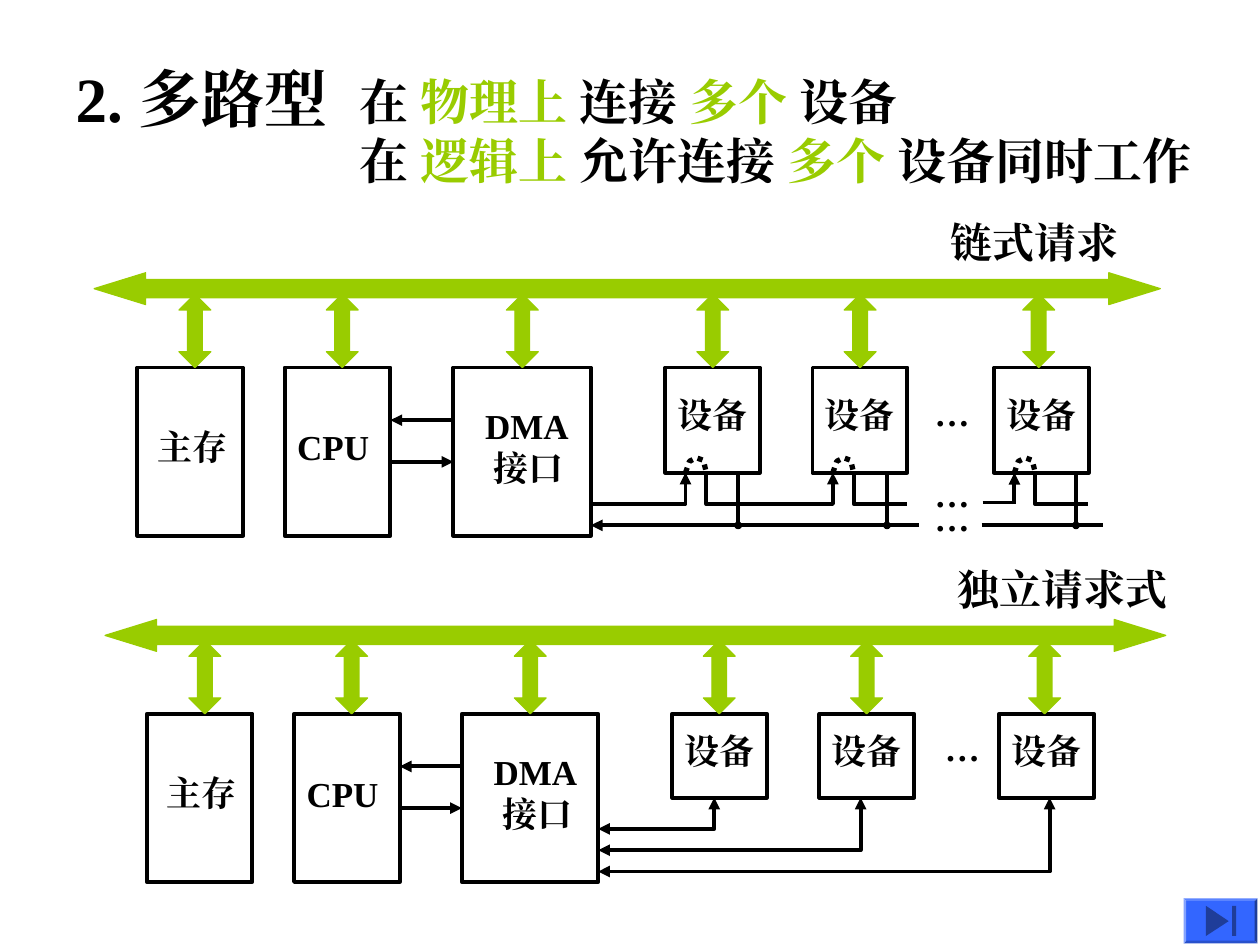
"""Build the slide on multiplexed DMA interfaces."""
from dataclasses import dataclass

from lxml.etree import SubElement
from pptx import Presentation
from pptx.dml.color import RGBColor
from pptx.enum.dml import MSO_LINE
from pptx.enum.lang import MSO_LANGUAGE_ID
from pptx.enum.shapes import MSO_CONNECTOR, MSO_SHAPE
from pptx.enum.text import MSO_ANCHOR, MSO_AUTO_SIZE, PP_ALIGN
from pptx.oxml.ns import qn
from pptx.util import Cm, Pt

BLACK, GREEN, BLUE, NAVY = "000000", "99CC00", "3366FF", "1F3D99"
FONT = "Times New Roman"
Point = tuple[float, float]


@dataclass
class Box:
    left: float
    top: float
    width: float
    height: float

    def lengths(self) -> list[Cm]:
        return [Cm(value) for value in (self.left, self.top, self.width, self.height)]


@dataclass
class Unit:
    text: str
    left: float
    width: float
    text_left: float
    text_top: float
    text_width: float
    text_height: float = 1.12


@dataclass
class Diagram:
    heading: str
    heading_box: Box
    bus: Box
    bus_arrows: list[float]
    top: float
    memory: float
    processor: float
    interface: float
    interface_width: float
    devices: list[float]
    device_height: float
    device_text_top: float
    ellipsis: Point

    def interface_right(self) -> float:
        return self.interface + self.interface_width


CHAINED = Diagram(
    "链式请求", Box(18.92, 4.24, 4.47, 1.27), Box(1.9, 5.5, 21.49, 0.64),
    [3.61, 6.58, 10.21, 14.05, 17.02, 20.62], 7.41, 2.77, 5.74, 9.14, 2.77,
    [13.41, 16.38, 20.04], 2.12, 0.39, (18.59, 7.77))
INDEPENDENT = Diagram(
    "独立请求式", Box(19.05, 11.23, 6.35, 1.27), Box(2.12, 12.49, 21.38, 0.64),
    [3.81, 6.77, 10.37, 14.18, 17.15, 20.74], 14.39, 2.96, 5.93, 9.31, 2.75,
    [13.55, 16.52, 20.14], 1.69, 0.19, (18.8, 14.53))


def color(value: str) -> RGBColor:
    return RGBColor.from_string(value)


def add_run(paragraph, text: str, size: float, value: str = BLACK) -> None:
    run = paragraph.add_run()
    run.text = text
    run.font.size, run.font.bold = Pt(size), True
    run.font.language_id = MSO_LANGUAGE_ID.SIMPLIFIED_CHINESE
    run.font.color.rgb = color(value)
    run.font.name = FONT
    SubElement(run._r.get_or_add_rPr(), qn("a:ea")).set("typeface", FONT)


def add_label(slide, box: Box, text: str, size: float = 20) -> None:
    frame = slide.shapes.add_textbox(*box.lengths()).text_frame
    frame.word_wrap, frame.margin_right = True, Cm(0)
    for index, line in enumerate(text.split("\n")):
        paragraph = frame.add_paragraph() if index else frame.paragraphs[0]
        add_run(paragraph, line, size)


def fill_shape(shape, value: str, outlined: bool = False) -> None:
    shape.shadow.inherit = False
    shape.fill.solid()
    shape.fill.fore_color.rgb = color(value)
    if outlined:
        shape.line.color.rgb, shape.line.width = color(value), Pt(0.75)
    else:
        shape.line.fill.background()


def style_line(shape, head: str = "", tail: str = "", width: float = 2.25, dash=None) -> None:
    shape.line.color.rgb, shape.line.width = color(BLACK), Pt(width)
    if dash:
        shape.line.dash_style = dash
    for tag, kind in (("a:headEnd", head), ("a:tailEnd", tail)):
        if kind:
            end = SubElement(shape.line._get_or_add_ln(), qn(tag))
            size = "sm" if kind == "oval" else "med"
            for name, setting in (("type", kind), ("w", size), ("len", size)):
                end.set(name, setting)


def add_line(slide, start: Point, end: Point, tail: str = "") -> None:
    ends = [Cm(value) for value in (*start, *end)]
    connector = slide.shapes.add_connector(MSO_CONNECTOR.STRAIGHT, *ends)
    SubElement(connector._element.spPr, qn("a:effectLst"))
    style_line(connector, tail=tail)


def add_outline(slide, points: list[Point], close: bool = False):
    corners = [(Cm(x), Cm(y)) for x, y in points]
    builder = slide.shapes.build_freeform(*corners[0])
    builder.add_line_segments(corners[1:], close=close)
    return builder.convert_to_shape()


def add_path(slide, points: list[Point], **style) -> None:
    path = add_outline(slide, points)
    path.shadow.inherit = False
    path.fill.background()
    style_line(path, **style)


def add_arrow(slide, kind, box: Box, adjustments: Point) -> None:
    arrow = slide.shapes.add_shape(kind, *box.lengths())
    fill_shape(arrow, GREEN, outlined=True)
    for index, value in enumerate(adjustments):
        arrow.adjustments[index] = value


def add_unit(slide, unit: Unit, top: float, height: float) -> None:
    add_label(slide, Box(unit.left + unit.text_left, top + unit.text_top,
                         unit.text_width, unit.text_height), unit.text)
    frame = slide.shapes.add_shape(
        MSO_SHAPE.RECTANGLE, *Box(unit.left, top, unit.width, height).lengths())
    frame.shadow.inherit = False
    frame.fill.background()
    style_line(frame)


def add_diagram(slide, diagram: Diagram) -> None:
    top, right = diagram.top, diagram.processor + 2.13
    for left in diagram.devices:
        add_unit(slide, Unit("设备", left, 1.91, 0, diagram.device_text_top, 1.91),
                 top, diagram.device_height)
    for unit in (Unit("DMA\n 接口", diagram.interface, diagram.interface_width, 0.39, 0.62, 2.18, 1.96),
                 Unit("CPU", diagram.processor, 2.13, 0, 1.05, 1.96),
                 Unit("主存", diagram.memory, 2.13, 0.15, 1.04, 1.91)):
        add_unit(slide, unit, top, 3.39)
    add_arrow(slide, MSO_SHAPE.LEFT_RIGHT_ARROW, diagram.bus, (0.58, 1.62))
    for left in diagram.bus_arrows:
        add_arrow(slide, MSO_SHAPE.UP_DOWN_ARROW, Box(left, top - 1.48, 0.64, 1.48), (0.5, 0.46))
    add_label(slide, Box(*diagram.ellipsis, 1.22, 1.12), "…")
    add_line(slide, (right, top + 1.9), (diagram.interface, top + 1.9), "triangle")
    add_line(slide, (diagram.interface, top + 1.06), (right, top + 1.06), "triangle")
    add_label(slide, diagram.heading_box, diagram.heading, 24)


def add_chain_wiring(slide, diagram: Diagram) -> None:
    bottom, grant, request = diagram.top + diagram.device_height, 10.16, 10.59
    start = diagram.interface_right()
    entries = [left + 0.41 for left in diagram.devices]
    exits = [entry + 0.42 for entry in entries]
    add_path(slide, [(start, grant), (entries[0], grant), (entries[0], bottom)], tail="triangle")
    add_path(slide, [(exits[0], bottom), (exits[0], grant), (entries[1], grant),
                     (entries[1], bottom)], tail="triangle")
    for x in exits[1:]:
        add_path(slide, [(x, bottom), (x, grant), (x + 1.07, grant)])
    add_line(slide, (entries[2], grant), (entries[2], bottom), "triangle")
    add_line(slide, (19.81, 10.13), (20.4, 10.13))
    add_line(slide, (18.52, request), (start, request), "triangle")
    add_line(slide, (19.79, request), (22.23, request))
    for x in (14.88, 17.88, 21.69):
        add_line(slide, (x, bottom), (x, request), "oval")
    arc = [(0, 0), (0.08, -0.23), (0.22, -0.3), (0.36, -0.25), (0.42, 0)]
    for entry in entries:
        add_path(slide, [(entry + x, bottom + y) for x, y in arc], width=3, dash=MSO_LINE.ROUND_DOT)
    for y in (9.88, 9.4):
        add_label(slide, Box(18.59, y, 3.81, 1.12), "…")


def add_independent_wiring(slide, diagram: Diagram) -> None:
    start, bottom = diagram.interface_right(), diagram.top + diagram.device_height
    for index, x in enumerate((14.4, 17.35, 21.16)):
        y = 16.71 + 0.43 * index
        add_path(slide, [(start, y), (x, y), (x, bottom)], head="triangle", tail="triangle")


def add_button(slide) -> None:
    button = slide.shapes.add_shape(MSO_SHAPE.BEVEL, *Box(23.86, 18.11, 1.49, 0.91).lengths())
    button.adjustments[0] = 0.06
    fill_shape(button, BLUE)
    fill_shape(add_outline(slide, [(24.77, 18.57), (24.31, 18.87), (24.31, 18.26)], True), NAVY)
    bar = slide.shapes.add_shape(MSO_SHAPE.RECTANGLE, *Box(24.84, 18.26, 0.08, 0.61).lengths())
    fill_shape(bar, NAVY)


def prepare(placeholder, box: Box):
    placeholder.left, placeholder.top, placeholder.width, placeholder.height = box.lengths()
    frame = placeholder.text_frame
    frame.auto_size, frame.vertical_anchor = MSO_AUTO_SIZE.NONE, MSO_ANCHOR.TOP
    frame.word_wrap = True
    return frame


def add_headings(slide) -> None:
    title = prepare(slide.shapes.title, Box(1.27, 1.07, 5.6, 3.3)).paragraphs[0]
    title.alignment = PP_ALIGN.LEFT
    add_run(title, "2. 多路型", 36)
    body = prepare(slide.placeholders[1], Box(6.99, 1.32, 18.41, 2.64))
    lines = [["在 ", "物理上 ", "连接 ", "多个 ", "设备"],
             ["在 ", "逻辑上 ", "允许连接 ", "多个 ", "设备同时工作"]]
    for index, texts in enumerate(lines):
        paragraph = body.add_paragraph() if index else body.paragraphs[0]
        properties = paragraph._p.get_or_add_pPr()
        properties.set("marL", "0")
        properties.set("indent", "0")
        SubElement(properties, qn("a:buNone"))
        paragraph.space_before = Pt(0)
        for position, text in enumerate(texts):
            add_run(paragraph, text, 28, GREEN if position % 2 else BLACK)


def main() -> None:
    presentation = Presentation()
    presentation.slide_width, presentation.slide_height = Cm(25.4), Cm(19.05)
    slide = presentation.slides.add_slide(presentation.slide_layouts[1])
    add_headings(slide)
    add_diagram(slide, INDEPENDENT)
    add_independent_wiring(slide, INDEPENDENT)
    add_button(slide)
    add_diagram(slide, CHAINED)
    add_chain_wiring(slide, CHAINED)
    presentation.save("out.pptx")


if __name__ == "__main__":
    main()
